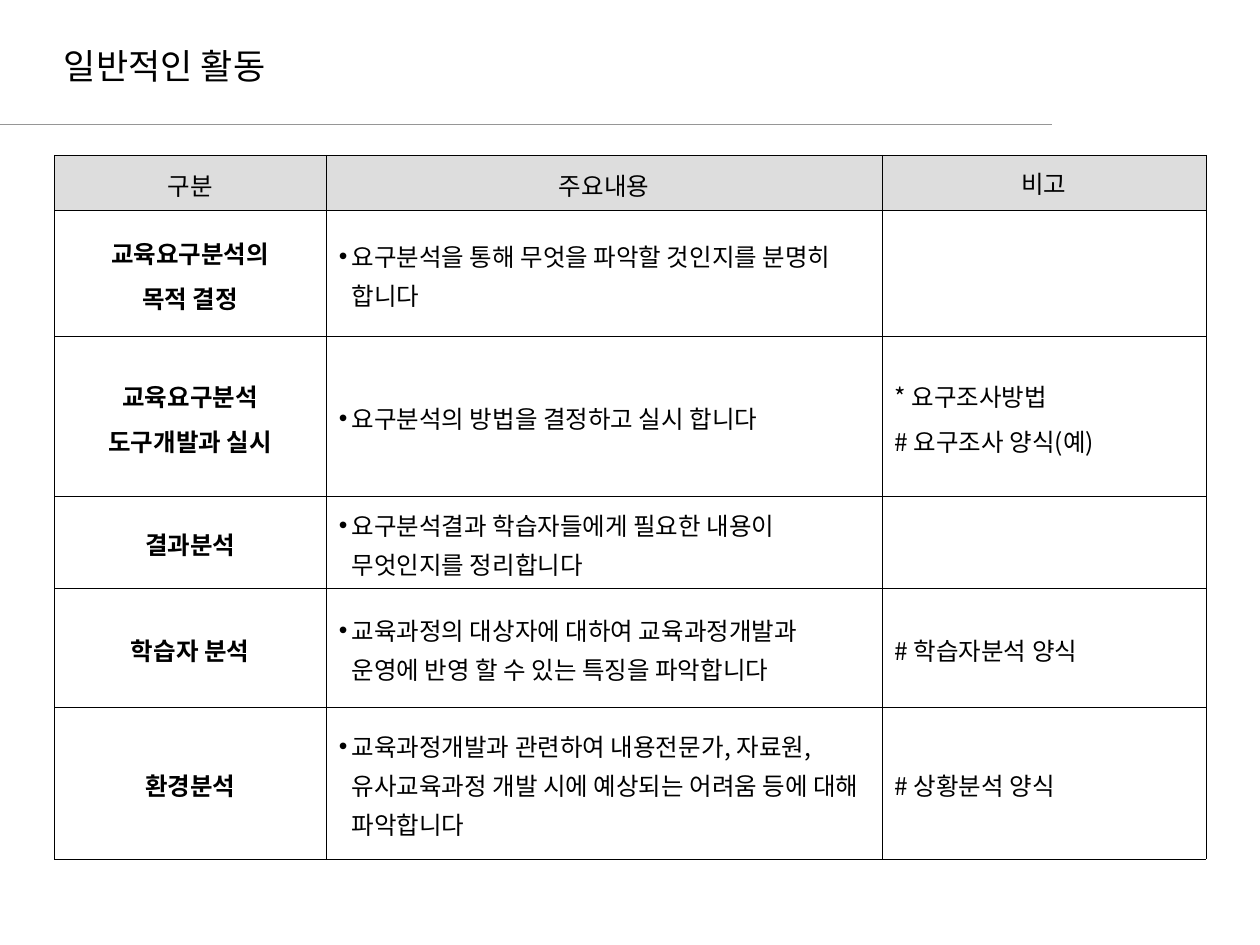
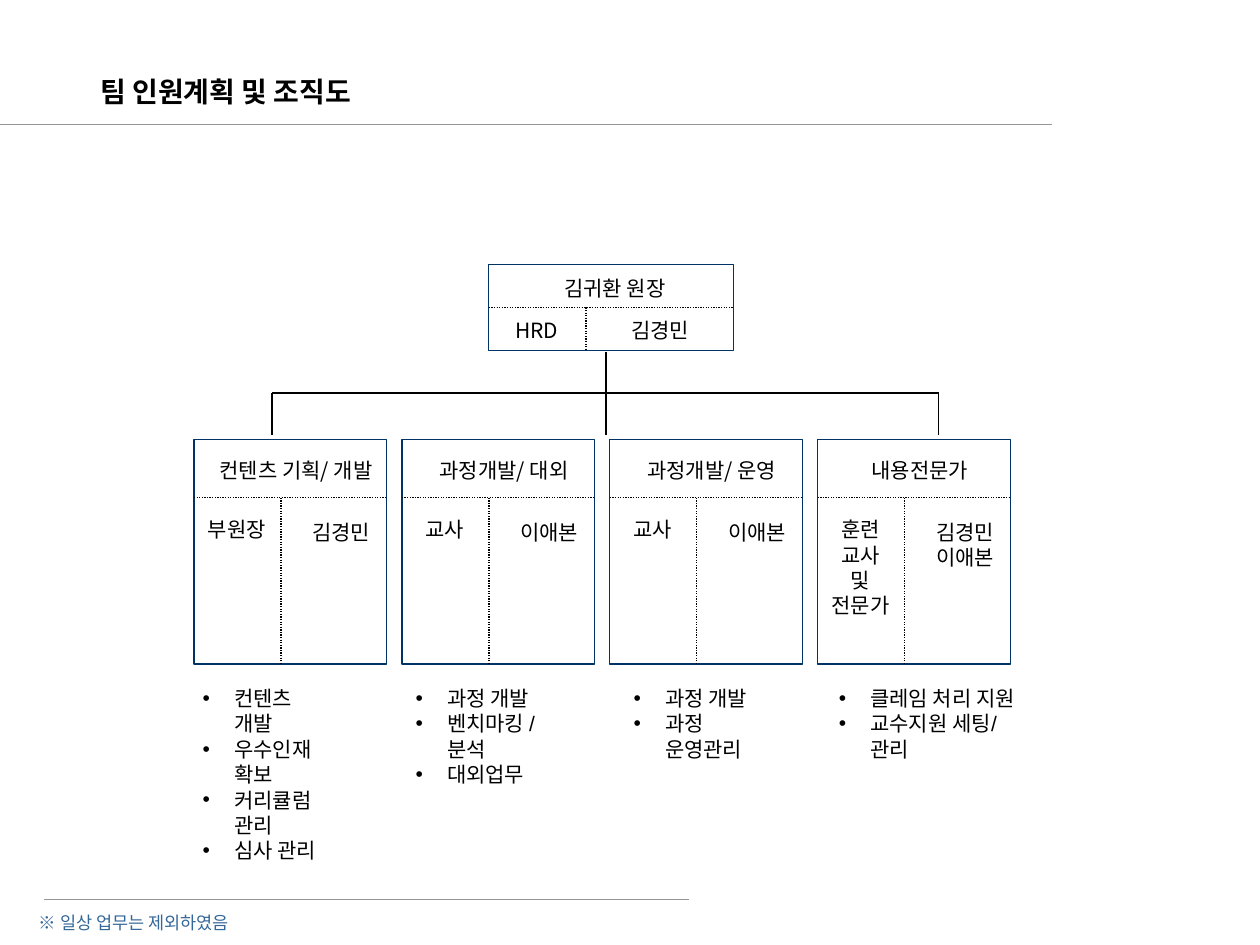
import pptx
import pptx.util
import pptx.dml.color
import pptx.enum.dml
import pptx.enum.shapes
import pptx.enum.text
import pptx.oxml.ns
from dataclasses import dataclass
from lxml import etree

In = pptx.util.Inches
Pt = pptx.util.Pt
ALIGN = pptx.enum.text.PP_ALIGN
ANCHOR = pptx.enum.text.MSO_ANCHOR
qn = pptx.oxml.ns.qn


@dataclass(frozen=True)
class Theme:
    font: str = "Noto Sans CJK KR"
    list_font: str = "Arial"
    ink: str = "000000"
    paper: str = "FFFFFF"
    rule: str = "969696"
    header: str = "DDDDDD"
    navy: str = "003366"
    note: str = "336699"
    table_size: float = 14
    chart_size: float = 12
    note_size: float = 10
    chart_leading: float = 14.5
    note_leading: float = 14
    hairline: float = 0.11
    thin: float = 0.75


T = Theme()

ACTIVITY_TITLE = "일반적인 활동"
ACTIVITY_HEADER = ("구분", "주요내용", "비고")
ACTIVITIES = [
    (["교육요구분석의", "목적 결정"],
     ["요구분석을 통해 무엇을 파악할 것인지를 분명히 합니다"], []),
    (["교육요구분석", "도구개발과 실시"],
     ["요구분석의 방법을 결정하고 실시 합니다"],
     ["* 요구조사방법", "# 요구조사 양식(예)"]),
    (["결과분석"],
     ["요구분석결과 학습자들에게 필요한 내용이 무엇인지를 정리합니다"], []),
    (["학습자 분석"],
     ["교육과정의 대상자에 대하여 교육과정개발과 운영에 반영 할 수 있는 특징을 파악합니다"],
     ["# 학습자분석 양식"]),
    (["환경분석"],
     ["교육과정개발과 관련하여 내용전문가, 자료원, 유사교육과정 개발 시에 예상되는 "
      "어려움 등에 대해 파악합니다"],
     ["# 상황분석 양식"]),
]
COLUMN_WIDTHS = (2.16, 4.41, 2.57)
ROW_HEIGHTS = (0.44, 1, 1.27, 0.73, 0.94, 1.21)

TEAM_TITLE = "팀 인원계획 및 조직도"
TEAM_NOTE = "※ 일상 업무는 제외하였음"
HEAD = {"name": "김귀환 원장", "unit": "HRD", "person": "김경민"}
TEAMS = [
    {"name": "컨텐츠 기획/ 개발", "role": ["부원장"], "people": ["김경민"],
     "tasks": ["컨텐츠 개발", "우수인재 확보", "커리큘럼 관리", "심사 관리"],
     "tasks_at": (1.51, 1.19)},
    {"name": "과정개발/ 대외", "role": ["교사"], "people": ["이애본"],
     "tasks": ["과정 개발", "벤치마킹 / 분석", "대외업무"],
     "tasks_at": (3.2, 1.35)},
    {"name": "과정개발/ 운영", "role": ["교사"], "people": ["이애본"],
     "tasks": ["과정 개발", "과정 운영관리"],
     "tasks_at": (4.93, 1.27)},
    {"name": "내용전문가", "role": ["훈련", "교사", "및", "전문가"],
     "people": ["김경민", "이애본"],
     "tasks": ["클레임 처리 지원", "교수지원 세팅/ 관리"],
     "tasks_at": (6.56, 1.74)},
]
CARD_LEFT, CARD_TOP, CARD_PITCH = 1.54, 3.49, 1.65
CARD_W, CARD_H = 1.53, 1.78


def rgb(value):
    return pptx.dml.color.RGBColor.from_string(value)


def add_bullet(p, indent):
    pPr = p._p.get_or_add_pPr()
    pPr.set("marL", str(In(indent)))
    pPr.set("indent", str(-In(indent)))
    etree.SubElement(pPr, qn("a:buFont"), typeface="Arial")
    etree.SubElement(pPr, qn("a:buChar"), char="•")


def write(tf, lines, size, color=T.ink, bold=False, align=ALIGN.LEFT,
          leading=None, gap=0, bullet=None, font=T.font):
    for i, line in enumerate(lines):
        p = tf.paragraphs[0] if i == 0 else tf.add_paragraph()
        p.text = line
        p.alignment = align
        if leading:
            p.line_spacing = leading
        if i and gap:
            p.space_before = Pt(gap)
        if bullet:
            add_bullet(p, bullet)
        for r in p.runs:
            r.font.size = Pt(size)
            r.font.bold = bold
            r.font.color.rgb = rgb(color)
            r.font.name = font
            etree.SubElement(r._r.get_or_add_rPr(), qn("a:ea"), typeface=T.font)


def add_text(s, box, lines, size, wrap=True, **style):
    tf = s.shapes.add_textbox(*map(In, box)).text_frame
    tf.word_wrap = wrap
    write(tf, lines, size, **style)


def add_label(s, center, top, lines):
    width = 1.5
    height = 0.1 + 0.2 * len(lines)
    add_text(s, (center - width / 2, top, width, height), lines, T.chart_size,
             wrap=False, align=ALIGN.CENTER, leading=Pt(T.chart_leading))


def add_line(s, x1, y1, x2, y2, color=T.ink, width=T.thin, dotted=False):
    sp = s.shapes.add_connector(pptx.enum.shapes.MSO_CONNECTOR.STRAIGHT,
                                In(x1), In(y1), In(x2), In(y2))
    sp.line.color.rgb = rgb(color)
    sp.line.width = Pt(width)
    if dotted:
        sp.line.dash_style = pptx.enum.dml.MSO_LINE.ROUND_DOT
    etree.SubElement(sp._element.spPr, qn("a:effectLst"))


def add_frame(s, x, y, w, h):
    sp = s.shapes.add_shape(pptx.enum.shapes.MSO_SHAPE.RECTANGLE,
                            In(x), In(y), In(w), In(h))
    sp.shadow.inherit = False
    sp.fill.solid()
    sp.fill.fore_color.rgb = rgb(T.paper)
    sp.line.color.rgb = rgb(T.navy)
    sp.line.width = Pt(T.thin)


def new_slide(prs, title, box, size, leading, bold=False):
    s = prs.slides.add_slide(prs.slide_layouts[6])
    add_line(s, 0, 0.99, 8.35, 0.99, T.rule)
    add_text(s, box, [title], size, bold=bold, leading=Pt(leading))
    return s


def set_borders(cell):
    tcPr = cell._tc.get_or_add_tcPr()
    for i, side in enumerate(("lnL", "lnR", "lnT", "lnB")):
        ln = etree.Element(qn("a:" + side), w=str(Pt(T.hairline)))
        fill = etree.SubElement(ln, qn("a:solidFill"))
        etree.SubElement(fill, qn("a:srgbClr"), val=T.ink)
        tcPr.insert(i, ln)


def activity_slide(prs):
    s = new_slide(prs, ACTIVITY_TITLE, (0.41, 0.28, 4, 0.44), 20, 26)
    rows = [[[text] for text in ACTIVITY_HEADER]] + ACTIVITIES
    table = s.shapes.add_table(
        len(rows), len(COLUMN_WIDTHS), In(0.43), In(1.23),
        In(sum(COLUMN_WIDTHS)), In(sum(ROW_HEIGHTS))).table
    table.first_row = table.horz_banding = False
    for column, width in zip(table.columns, COLUMN_WIDTHS):
        column.width = In(width)
    for row, height in zip(table.rows, ROW_HEIGHTS):
        row.height = In(height)
    for i, row in enumerate(rows):
        for j, lines in enumerate(row):
            cell = table.cell(i, j)
            header = i == 0
            cell.vertical_anchor = ANCHOR.TOP if header and j == 2 else ANCHOR.MIDDLE
            if header:
                cell.fill.solid()
                cell.fill.fore_color.rgb = rgb(T.header)
            else:
                cell.fill.background()
            set_borders(cell)
            write(cell.text_frame, lines, T.table_size,
                  bold=not header and j == 0, leading=1.1, gap=3.5,
                  align=ALIGN.CENTER if header or j == 0 else ALIGN.LEFT,
                  bullet=0.1 if not header and j == 1 else None)


def add_head(s):
    x, y, w, h = 3.88, 2.1, 1.94, 0.68
    split = x + 0.77
    add_frame(s, x, y, w, h)
    add_line(s, x, y + h / 2, x + w, y + h / 2, dotted=True)
    add_line(s, split, y + h / 2, split, y + h, dotted=True)
    add_label(s, 4.88, y + 0.04, [HEAD["name"]])
    add_label(s, 4.26, y + 0.37, [HEAD["unit"]])
    add_label(s, 5.24, y + 0.37, [HEAD["person"]])


def add_branches(s):
    left, stem, right = 2.16, 4.81, 7.45
    top, bar, bottom = 2.79, 3.12, 3.45
    add_line(s, left, bar, right, bar)
    add_line(s, stem, top, stem, bottom)
    for x in (left, right):
        add_line(s, x, bar, x, bottom)


def add_team(s, x, team):
    split_x, split_y = x + 0.69, CARD_TOP + 0.46
    add_frame(s, x, CARD_TOP, CARD_W, CARD_H)
    add_line(s, x, split_y, x + CARD_W, split_y, dotted=True)
    add_line(s, split_x, split_y, split_x, CARD_TOP + CARD_H, dotted=True)
    add_label(s, x + 0.81, CARD_TOP + 0.09, [team["name"]])
    add_label(s, x + 0.34, split_y + 0.1, team["role"])
    add_label(s, x + 1.17, split_y + 0.12, team["people"])
    left, width = team["tasks_at"]
    add_text(s, (left, 5.39, width, 0.1 + 0.2 * len(team["tasks"])), team["tasks"],
             T.chart_size, leading=Pt(T.chart_leading), bullet=0.25, font=T.list_font)


def team_slide(prs):
    s = new_slide(prs, TEAM_TITLE, (0.7, 0.5, 4, 0.4), 16, 22, bold=True)
    add_head(s)
    add_branches(s)
    for i, team in enumerate(TEAMS):
        add_team(s, CARD_LEFT + i * CARD_PITCH, team)
    add_line(s, 0.35, 7.14, 5.47, 7.14, T.rule, 1)
    add_text(s, (0.21, 7.16, 8.96, 0.29), [TEAM_NOTE], T.note_size, color=T.note,
             align=ALIGN.JUSTIFY, leading=Pt(T.note_leading))


def main():
    prs = pptx.Presentation()
    prs.slide_width, prs.slide_height = In(10), In(7.5)
    activity_slide(prs)
    team_slide(prs)
    prs.save("out.pptx")


if __name__ == "__main__":
    main()
